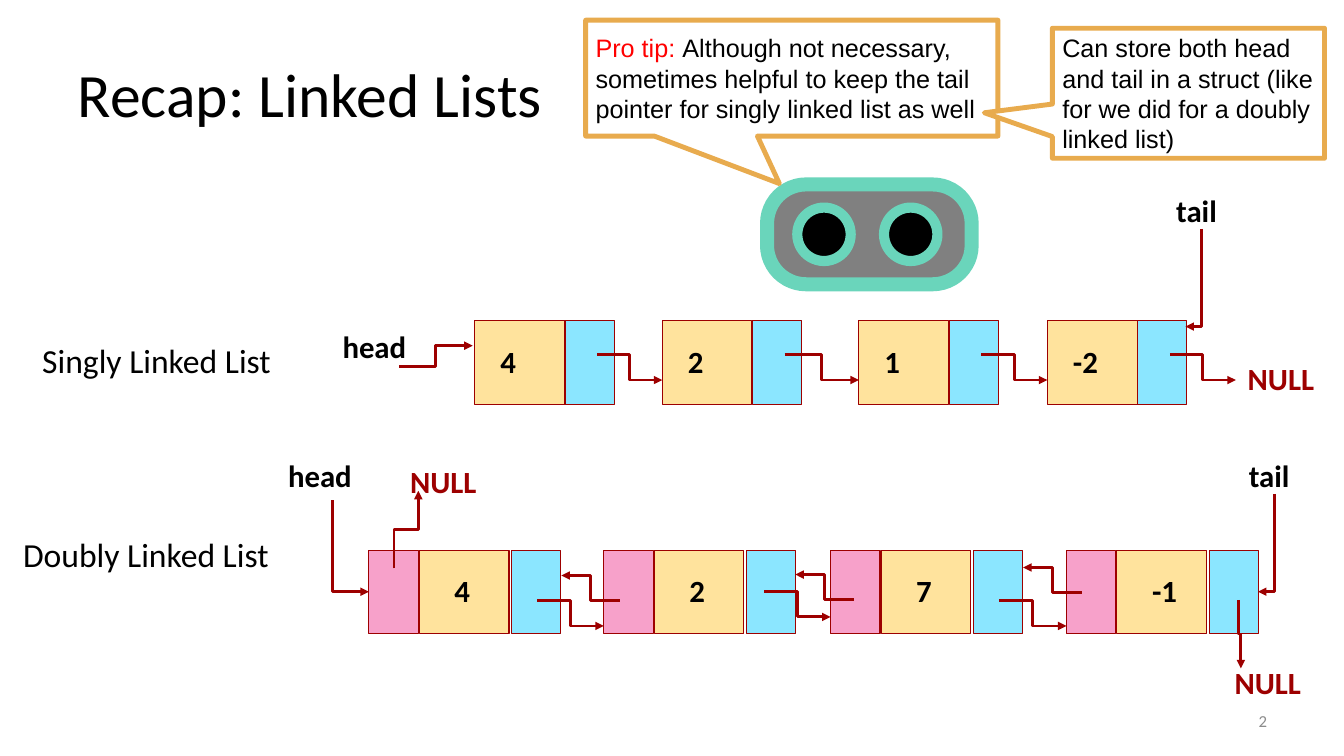
from lxml import etree
from pptx import Presentation, util as u
from pptx.dml.color import RGBColor
from pptx.enum import shapes, text
from pptx.oxml.ns import qn

COLORS = {
    "data": "FFE39D", "next": "8BE6FF", "prev": "F7A1CA", "link": "9D0000",
    "ink": "000000", "page": "8C8C8C", "tip": "FF0000", "paper": "FFFFFF",
    "callout": "E8AB4E", "robot": "6AD5BB", "face": "808080",
}
LABEL = {"size": 22, "name": "Calibri", "bold": True}
HEADING = {"size": 24, "name": "Calibri"}
TITLE = {"size": 44, "name": "Calibri"}
PAGE = {"size": 12, "name": "Calibri"}
TIP = {"size": 18, "name": "Arial"}
MIDDLE = text.MSO_ANCHOR.MIDDLE
KIND = shapes.MSO_SHAPE


def color(name):
    return RGBColor.from_string(COLORS[name])


class Deck:
    """Style and current slide; lengths are grid columns and rows of 0.1 inch."""
    CELL = u.Inches(0.1)

    def __init__(self, cols, rows):
        self.prs = Presentation()
        self.prs.slide_width, self.prs.slide_height = self.grid(cols, rows)
        self.s = self.prs.slides.add_slide(self.prs.slide_layouts[5])

    def grid(self, *cells):
        return [u.Emu(round(c * self.CELL)) for c in cells]

    def fill_text(self, tf, runs, style, align=text.PP_ALIGN.LEFT, **frame):
        for key, value in frame.items():
            setattr(tf, key, value)
        p = tf.paragraphs[0]
        p.alignment = align
        for words, name in runs:
            r = p.add_run()
            r.text = words
            for key, value in style.items():
                setattr(r.font, key, u.Pt(value) if key == "size" else value)
            r.font.color.rgb = color(name)

    def title(self, words, box):
        sp = self.s.shapes.title
        sp.left, sp.top, sp.width, sp.height = self.grid(*box)
        self.fill_text(sp.text_frame, [(words, "ink")], TITLE,
                       vertical_anchor=MIDDLE, word_wrap=True)

    def text(self, words, box, style=LABEL, name="ink", **options):
        sp = self.s.shapes.add_textbox(*self.grid(*box))
        self.fill_text(sp.text_frame, [(words, name)], style, **options)

    def shape(self, kind, box, fill, line, width, adj=()):
        sp = self.s.shapes.add_shape(kind, *self.grid(*box))
        sp.shadow.inherit = False
        sp.fill.solid()
        sp.fill.fore_color.rgb = color(fill)
        sp.line.color.rgb = color(line)
        sp.line.width = u.Pt(width)
        for i, value in enumerate(adj):
            sp.adjustments[i] = value
        return sp

    def callout(self, runs, box, adj):
        sp = self.shape(KIND.RECTANGULAR_CALLOUT, box, "paper", "callout", 3.5, adj)
        self.fill_text(sp.text_frame, runs, TIP, vertical_anchor=MIDDLE, word_wrap=True)

    def arrow(self, x1, y1, x2, y2, vertical=False, bends=2):
        """Elbow arrow; a vertical one leaves its start up or down."""
        if vertical:  # lay the route flat about its centre, then turn it 90 degrees
            cx, cy, dx, dy = (x1 + x2) / 2, (y1 + y2) / 2, (x2 - x1) / 2, (y2 - y1) / 2
            x1, y1, x2, y2 = cx - dy, cy + dx, cx + dy, cy - dx
        c = self.s.shapes.add_connector(shapes.MSO_CONNECTOR.ELBOW,
                                        *self.grid(x1, y1, x2, y2))
        c.line.color.rgb = color("link")
        c.line.width = u.Pt(2)
        pr = c._element.spPr
        if vertical:
            pr.find(qn("a:xfrm")).set("rot", "5400000")
        pr.find(qn("a:prstGeom")).set("prst", f"bentConnector{bends + 1}")
        etree.SubElement(pr.find(qn("a:ln")), qn("a:tailEnd"), type="triangle")
        etree.SubElement(pr, qn("a:effectLst"))

    def node(self, x, y, value, parts, label_dx, label_dy):
        for name, dx, width in parts:
            self.shape(KIND.RECTANGLE, (x + dx, y, width, 8.3), name, "link", 0.75)
        self.text(value, (x + label_dx, y + label_dy, 2.5 + len(value), 4.7))


d = Deck(133.33, 75)
d.title("Recap: Linked Lists", (6.7, 3, 120, 12.5))

# Singly linked list
d.text("Singly Linked List", (3.2, 33.2, 26.5, 5), HEADING, word_wrap=True)
SINGLE = [("data", 0, 8.9), ("next", 8.95, 4.9)]
single_x = [47.1, 65.7, 85.2, 103.9]
for x, value in zip(single_x, ["4", "2", "1", "-2"]):
    d.node(x, 31.8, value, SINGLE, 1.55, 1.7)
for x, end in zip(single_x, single_x[1:] + [122.6]):
    d.arrow(x + 12.15, 35.2, end, 37.7)
d.arrow(39.6, 36.4, 46.9, 34.3)

# Doubly linked list
d.text("Doubly Linked List", (1.3, 52.5, 26.5, 5), HEADING, word_wrap=True)
DOUBLE = [("prev", 0, 4.9), ("data", 5, 8.9), ("next", 14.15, 4.9)]
double_x = [36.6, 59.9, 82.4, 105.8]
for x, value in zip(double_x, ["4", "2", "7", "-1"]):
    d.node(x, 54.6, value, DOUBLE, 7.5, 1.6)
next_starts = [(53.3, 59.6), (75.8, 58.7), (99.1, 59.6)]
prev_starts = [(61.5, 59.6), (84.7, 59.5), (107.3, 58.8)]
for x, (nx, ny), (px, py) in zip(double_x[1:], next_starts, prev_starts):
    d.arrow(nx, ny, x, ny + 2.5)
    d.arrow(px, py, px - 5.8, py - 2.5)
d.arrow(33, 49.6, 36.6, 58.7, vertical=True, bends=1)
d.arrow(39.1, 56.4, 41.5, 48.7, vertical=True)
d.arrow(122.9, 59.5, 123.1, 66.3, vertical=True)

# Pointer names, with an arrow down from each tail
for x, y in [(33, 32), (27.6, 44.8)]:
    d.text("head", (x, y, 8.4, 4.7))
for x, y in [(122.8, 35.2), (121.5, 65.4), (39.7, 45.4)]:
    d.text("NULL", (x, y, 8.6, 4.7), name="link")
for x, y in [(115.7, 18.5), (122.9, 44.8)]:
    d.text("tail", (x, y, 7.5, 4.7), word_wrap=True)
    d.arrow(x + 3.5, y + 4.2, x + 1.9, y + 13.9, vertical=True, bends=1)

# Robot
d.shape(KIND.ROUNDED_RECTANGLE, (76.1, 18.3, 20.3, 9.9), "face", "robot", 10, [0.39])
for x in (79.1, 87.7):
    d.shape(KIND.OVAL, (x, 20.6, 5.3, 5.3), "ink", "robot", 7.25)

# Tips
d.callout([("Pro tip: ", "tip"),
           ("Although not necessary, sometimes helpful to keep the tail "
            "pointer for singly linked list as well", "ink")],
          (58.1, 2, 40.9, 11.5), (-0.03, 0.91))
d.callout([("Can store both head and tail in a struct (like for we did "
            "for a doubly linked list)", "ink")],
          (104.4, 2.8, 27, 12.9), (-0.75, 0.15))

# Slide number
d.text("2", (95.6, 69.5, 31.1, 4), PAGE, "page", align=text.PP_ALIGN.RIGHT,
       vertical_anchor=MIDDLE, word_wrap=True)

d.prs.save("out.pptx")
